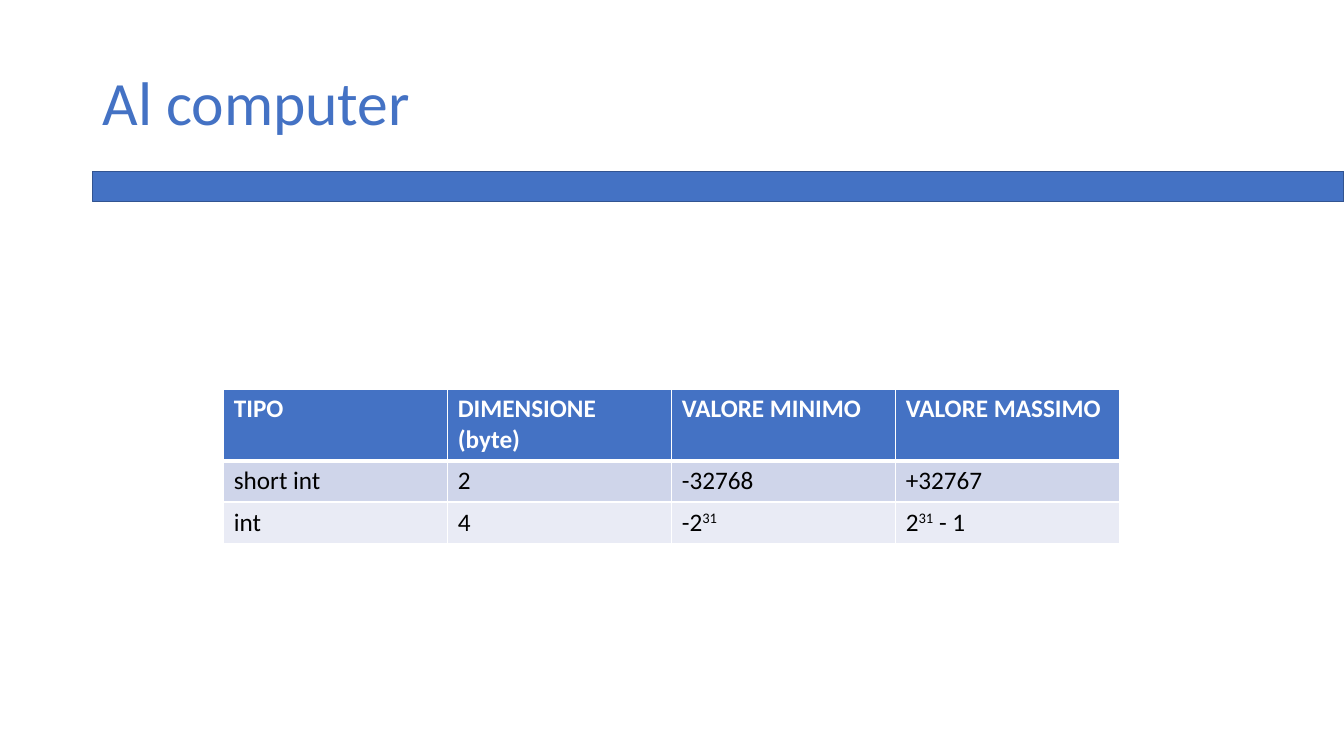
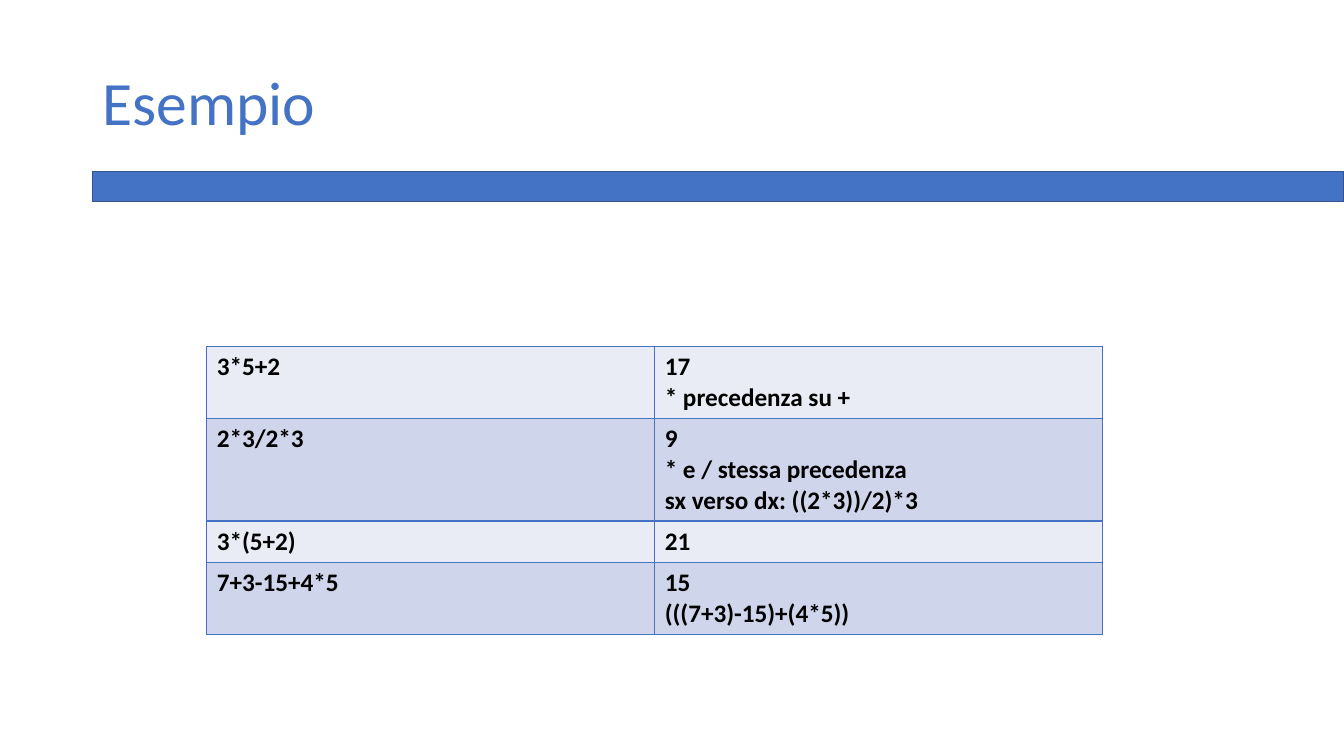
from dataclasses import dataclass

import pptx
import pptx.dml.color
import pptx.enum.shapes
import pptx.enum.text
import pptx.oxml
import pptx.oxml.ns
import pptx.util

Cm = pptx.util.Cm
Pt = pptx.util.Pt
RGB = pptx.dml.color.RGBColor.from_string


@dataclass(frozen=True)
class Theme:
    font: str = "Calibri"
    accent: str = "4472C4"
    band_edge: str = "325491"
    band_tint: str = "CFD5EA"
    light_tint: str = "E9EBF5"
    white: str = "FFFFFF"
    black: str = "000000"
    title_size: int = 44
    cell_size: int = 18
    hairline: int = 1
    header_rule: int = 3


def apply(target, formats):
    for attribute, value in formats.items():
        setattr(target, attribute, value)


class Deck:
    WIDTH, HEIGHT = 33.87, 19.05
    LEFT, BAND_TOP, BAND_HEIGHT = 2.33, 4.32, 0.76
    TITLE_TOP, TITLE_WIDTH = 1.01, 29.21
    CELL_PADDING, LINE_HEIGHT = 0.27, 0.77

    def __init__(self, theme):
        self.theme = theme
        self.presentation = pptx.Presentation()
        apply(self.presentation, {"slide_width": Cm(self.WIDTH),
                                  "slide_height": Cm(self.HEIGHT)})
        self.slide = None

    def new_slide(self, title):
        layout = self.presentation.slide_layouts.get_by_name("Title Only")
        self.slide = self.presentation.slides.add_slide(layout)
        self.title(title)
        self.band()

    def style(self, font, size, color, bold=False):
        apply(font, {"name": self.theme.font, "size": Pt(size), "bold": bold})
        font.color.rgb = RGB(color)

    def title(self, text):
        heading = self.slide.shapes.title
        apply(heading, {"left": Cm(self.LEFT), "top": Cm(self.TITLE_TOP),
                        "width": Cm(self.TITLE_WIDTH),
                        "height": Cm(self.BAND_TOP - self.TITLE_TOP)})
        heading.text_frame.text = text
        heading.text_frame.vertical_anchor = pptx.enum.text.MSO_ANCHOR.MIDDLE
        paragraph = heading.text_frame.paragraphs[0]
        apply(paragraph, {"alignment": pptx.enum.text.PP_ALIGN.LEFT,
                          "line_spacing": 0.9})
        self.style(paragraph.runs[0].font, self.theme.title_size, self.theme.accent)

    def band(self):
        band = self.slide.shapes.add_shape(
            pptx.enum.shapes.MSO_SHAPE.RECTANGLE, Cm(self.LEFT), Cm(self.BAND_TOP),
            Cm(self.WIDTH - self.LEFT), Cm(self.BAND_HEIGHT))
        band.shadow.inherit = False
        band.fill.solid()
        band.fill.fore_color.rgb = RGB(self.theme.accent)
        band.line.color.rgb = RGB(self.theme.band_edge)
        band.line.width = Pt(self.theme.hairline)

    def table(self, rows, row_lines, left, top, width, border, header=False, bold=False):
        """Draw a banded table; row_lines gives the text lines that set each row's height."""
        theme = self.theme
        heights = [self.CELL_PADDING + self.LINE_HEIGHT * lines for lines in row_lines]
        table = self.slide.shapes.add_table(
            len(rows), len(rows[0]), Cm(left), Cm(top), Cm(width), Cm(sum(heights))).table
        table.first_row = header
        tints = (theme.light_tint, theme.band_tint)
        for index, (texts, height) in enumerate(zip(rows, heights)):
            table.rows[index].height = Cm(height)
            heading = header and index == 0
            fill = theme.accent if heading else tints[index % 2]
            color = theme.white if heading else theme.black
            widths = dict.fromkeys("LRTB", theme.hairline)
            if header and index < 2:
                widths["B" if heading else "T"] = theme.header_rule
            for column, text in enumerate(texts):
                cell = table.cell(index, column)
                self.borders(cell, border, widths)
                cell.fill.solid()
                cell.fill.fore_color.rgb = RGB(fill)
                self.cell_text(cell, text, color, bold or heading)

    def borders(self, cell, color, widths):
        properties = cell._tc.get_or_add_tcPr()
        for side, width in widths.items():
            properties.append(pptx.oxml.parse_xml(
                f'<a:ln{side} {pptx.oxml.ns.nsdecls("a")} w="{Pt(width)}">'
                f'<a:solidFill><a:srgbClr val="{color}"/></a:solidFill></a:ln{side}>'))

    def cell_text(self, cell, text, color, bold):
        """Write one paragraph a line; text between carets is raised."""
        frame = cell.text_frame
        for number, line in enumerate(text.split("\n")):
            paragraph = frame.add_paragraph() if number else frame.paragraphs[0]
            for position, part in enumerate(line.split("^")):
                run = paragraph.add_run()
                run.text = part
                self.style(run.font, self.theme.cell_size, color, bold)
                if position % 2:
                    run._r.get_or_add_rPr().set("baseline", "30000")


INTEGER_TYPES = [
    ["TIPO", "DIMENSIONE (byte)", "VALORE MINIMO", "VALORE MASSIMO"],
    ["short int", "2", "-32768", "+32767"],
    ["int", "4", "-2^31", "2^31^ - 1"],
]
EXPRESSIONS = [
    ["3*5+2", "17\n* precedenza su +"],
    ["2*3/2*3", "9\n* e / stessa precedenza\nsx verso dx: ((2*3))/2)*3"],
    ["3*(5+2)", "21"],
    ["7+3-15+4*5", "15\n(((7+3)-15)+(4*5))"],
]
TABLE_WIDTH = 22.58


def main():
    theme = Theme()
    deck = Deck(theme)

    deck.new_slide("Al computer")
    deck.table(INTEGER_TYPES, (2, 1, 1), 5.64, 9.8, TABLE_WIDTH, theme.white, header=True)

    deck.new_slide("Esempio")
    deck.table(EXPRESSIONS, (2, 3, 1, 2), 5.21, 8.74, TABLE_WIDTH, theme.accent, bold=True)

    deck.presentation.save("out.pptx")


if __name__ == "__main__":
    main()
